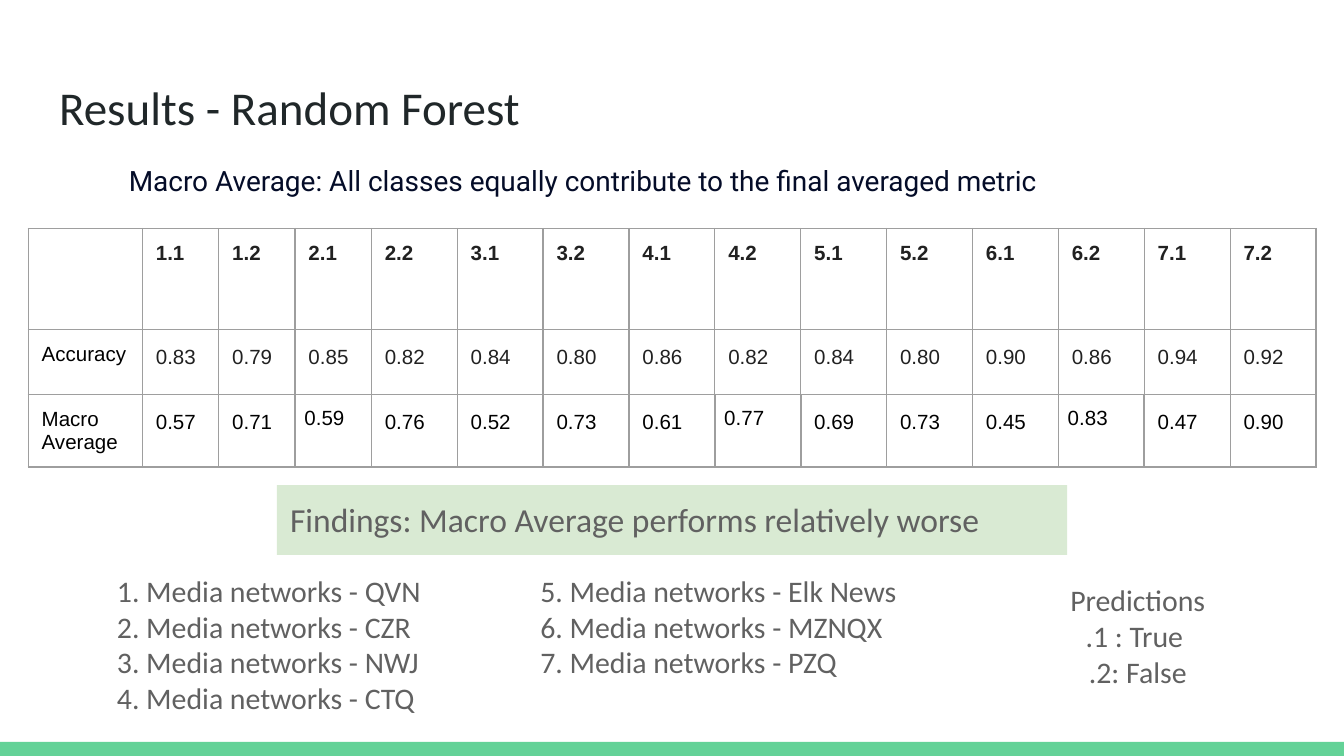
"""Build the Random Forest results slide on a grid of tenth-inch cells."""
from lxml import etree
from pptx import Presentation
from pptx import util as u
from pptx.dml import color
from pptx.enum import shapes, text
from pptx.oxml import ns

COLUMNS, ROWS = 100, 56.25
CELL = u.Inches(0.1)
COLORS = {
    "bar": "63D297", "title": "202729", "body": "616161", "note": "040C28",
    "band": "D9EAD3", "score": "212121", "label": "000000", "border": "9E9E9E",
}
ACCURACY = "0.83 0.79 0.85 0.82 0.84 0.80 0.86 0.82 0.84 0.80 0.90 0.86 0.94 0.92"
MACRO = "0.57 0.71 0.59 0.76 0.52 0.73 0.61 0.77 0.69 0.73 0.45 0.83 0.47 0.90"
NETWORKS = ["QVN", "CZR", "NWJ", "CTQ", "Elk News", "MZNQX", "PZQ"]
COMPACT = {(2, 3), (2, 8), (2, 12)}
SIDES = {"lnL": (0, -1), "lnR": (0, 1), "lnT": (-1, 0), "lnB": (1, 0)}


def rgb(name):
    """Look up a named colour."""
    return color.RGBColor.from_string(COLORS[name])


def grid(*cells):
    """Turn grid cells into slide lengths."""
    return [round(cell * CELL) for cell in cells]


def place(shape, *cells):
    """Move a shape to left, top, width and height in grid cells."""
    shape.left, shape.top, shape.width, shape.height = grid(*cells)


def set_insets(holder, inches=0.1):
    """Give a text frame or table cell equal margins."""
    for side in ("left", "right", "top", "bottom"):
        setattr(holder, f"margin_{side}", u.Inches(inches))


def style_runs(frame, size, font, color_name, bold=False):
    """Format every run of a text frame."""
    for paragraph in frame.paragraphs:
        for run in paragraph.runs:
            run.font.size = u.Pt(size)
            run.font.name = font
            run.font.bold = bold
            run.font.color.rgb = rgb(color_name)


def write(shape, wording, size, font, color_name, align=text.PP_ALIGN.LEFT):
    """Fill a shape with top-anchored text."""
    frame = shape.text_frame
    frame.text = wording
    frame.word_wrap = True
    frame.auto_size = text.MSO_AUTO_SIZE.NONE
    frame.vertical_anchor = text.MSO_ANCHOR.TOP
    set_insets(frame)
    for paragraph in frame.paragraphs:
        paragraph.alignment = align
        paragraph.line_spacing = 1.0
        paragraph.space_before = u.Pt(0)
    style_runs(frame, size, font, color_name)


def write_list(shape, lines):
    """Fill a body placeholder with lines that carry their own numbers."""
    write(shape, "\n".join(lines), 16, "Calibri", "body")
    for paragraph in shape.text_frame.paragraphs:
        properties = paragraph._p.get_or_add_pPr()
        properties.set("marL", "0")
        properties.set("indent", "0")
        etree.SubElement(properties, ns.qn("a:buNone"))


def add_box(slide, cells, *styling):
    """Add a text box."""
    box = slide.shapes.add_textbox(*grid(*cells))
    write(box, *styling)


def add_band(slide, cells, color_name):
    """Add a plain filled rectangle."""
    band = slide.shapes.add_shape(shapes.MSO_SHAPE.RECTANGLE, *grid(*cells))
    band.shadow.inherit = False
    band.fill.solid()
    band.fill.fore_color.rgb = rgb(color_name)
    band.line.fill.background()
    return band


def set_borders(cell, row, column):
    """Draw cell borders, heavier around the compact cells."""
    properties = cell._tc.get_or_add_tcPr()
    for position, (tag, (down, across)) in enumerate(SIDES.items()):
        heavy = COMPACT & {(row, column), (row + down, column + across)}
        line = etree.Element(ns.qn(f"a:{tag}"), w=str(u.Pt(1 if heavy else 0.75)))
        fill = etree.SubElement(line, ns.qn("a:solidFill"))
        etree.SubElement(fill, ns.qn("a:srgbClr"), val=COLORS["border"])
        properties.insert(position, line)


def fill_cell(cell, row, column, wording):
    """Write and format one table cell."""
    cell.text = wording
    cell.fill.background()
    cell.vertical_anchor = text.MSO_ANCHOR.TOP
    set_insets(cell, 0.07 if (row, column) in COMPACT else 0.1)
    set_borders(cell, row, column)
    paragraph = cell.text_frame.paragraphs[0]
    if row and column:
        paragraph.line_spacing = 1.15
    if row == 2 and 0 < column < 14:
        paragraph.alignment = text.PP_ALIGN.JUSTIFY
    color_name = "score" if column and row < 2 else "label"
    style_runs(cell.text_frame, 11, "Arial", color_name, bold=row == 0)


def add_scores(slide):
    """Add the table of scores per network and prediction."""
    headings = [f"{network}.{answer}" for network in range(1, 8) for answer in (1, 2)]
    records = [["", *headings], ["Accuracy", *ACCURACY.split()],
               ["Macro Average", *MACRO.split()]]
    widths = [8.5] + [5.68] * 3 + [6.39] * 11
    heights = [7.5, 4.85, 5.4]
    frame = slide.shapes.add_table(
        len(heights), len(widths), *grid(2.1, 17, sum(widths), sum(heights)))
    table = frame.table
    table.first_row = table.horz_banding = False
    for column, width in zip(table.columns, grid(*widths)):
        column.width = width
    for row, height in zip(table.rows, grid(*heights)):
        row.height = height
    for row, record in enumerate(records):
        for column, wording in enumerate(record):
            fill_cell(table.cell(row, column), row, column, wording)


def main():
    """Build and save the slide."""
    presentation = Presentation()
    presentation.slide_width, presentation.slide_height = grid(COLUMNS, ROWS)
    slide = presentation.slides.add_slide(presentation.slide_layouts[3])
    title, first_list, second_list = slide.placeholders

    add_band(slide, (0, ROWS - 1.05, COLUMNS, 1.05), "bar")
    place(title, 3.4, 4.85, 93.2, 6.3)
    write(title, "Results - Random Forest", 25.2, "Calibri", "title")
    add_scores(slide)

    lines = [f"{number}. Media networks - {name}"
             for number, name in enumerate(NETWORKS, 1)]
    place(first_list, 7.7, 41.6, 29.5, 10.8)
    write_list(first_list, lines[:4])
    place(second_list, 39.2, 41.6, 32.7, 10.8)
    write_list(second_list, lines[4:])

    add_box(slide, (76.4, 42.3, 16.5, 10.8), "Predictions\v.1 : True \n.2: False",
            16, "Calibri", "body", text.PP_ALIGN.CENTER)
    add_box(slide, (8.6, 11.15, 82.9, 4.5),
            "Macro Average: All classes equally contribute to the final averaged metric",
            15, "Roboto", "note")
    findings = add_band(slide, (20.6, 36.1, 58.8, 5.2), "band")
    write(findings, "Findings: Macro Average performs relatively worse",
          18, "Calibri", "body")
    presentation.save("out.pptx")


if __name__ == "__main__":
    main()
